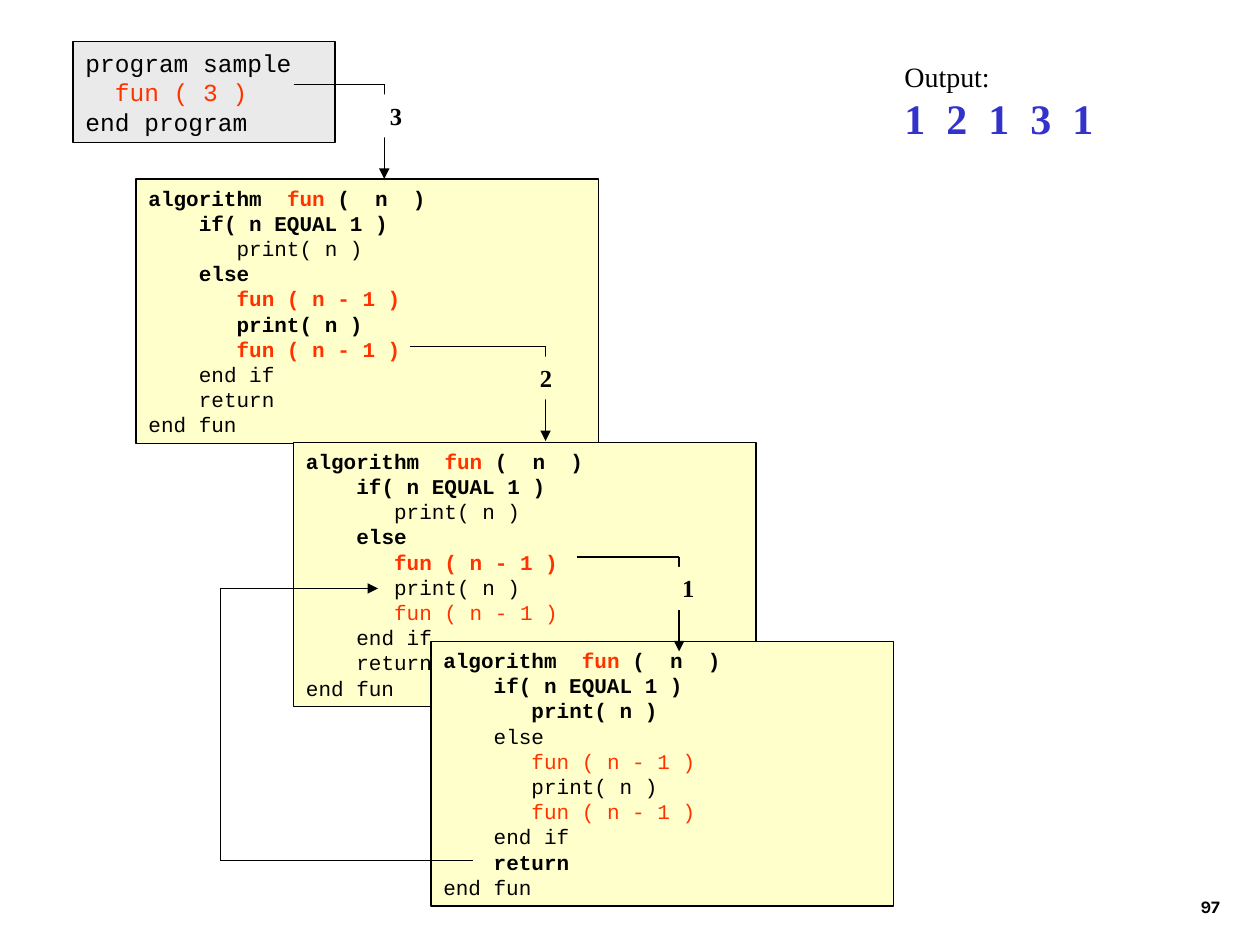
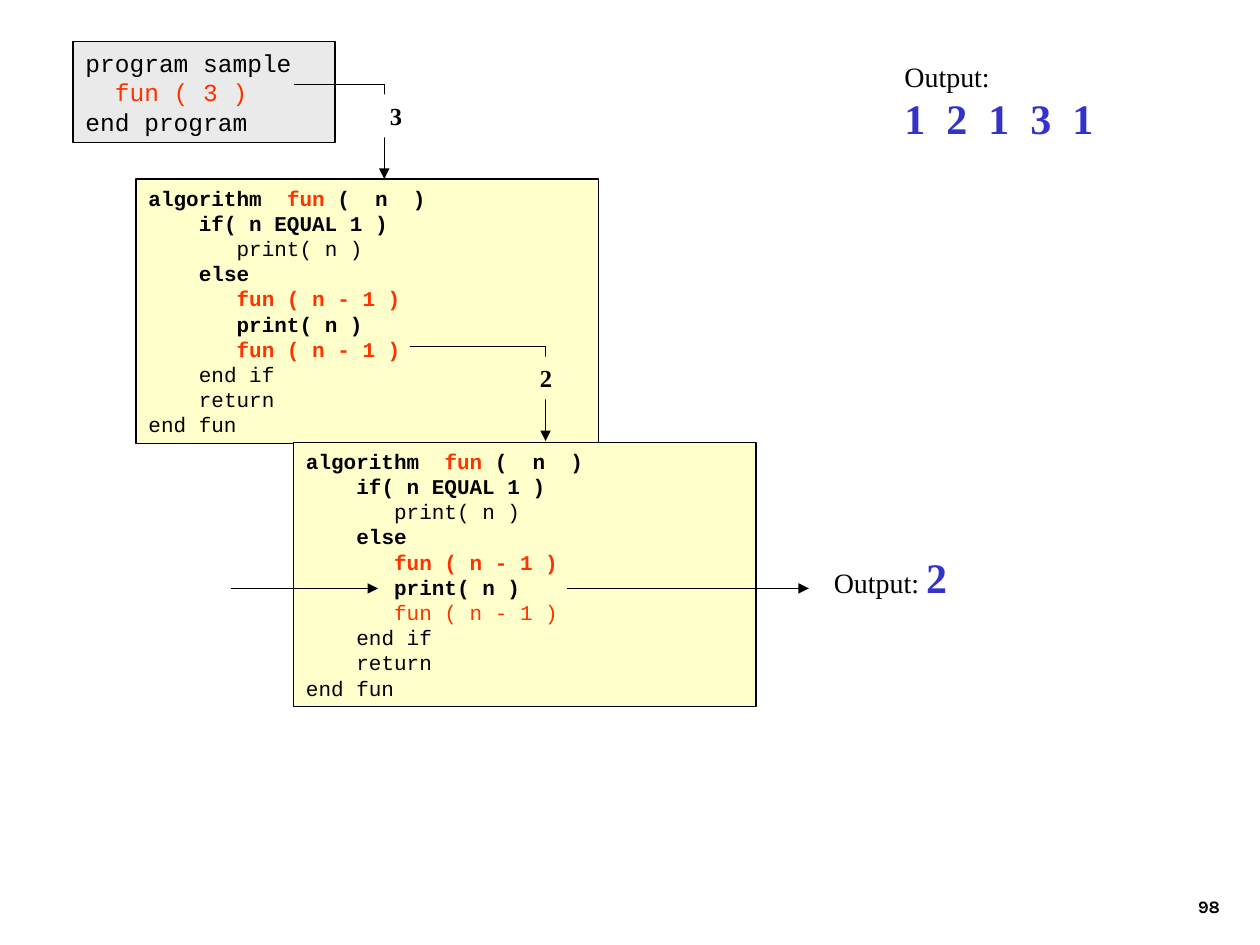
import pptx
import pptx.dml.color
import pptx.enum.shapes
import pptx.enum.text
import pptx.oxml
import pptx.oxml.ns
import pptx.util
from pptx.util import Inches

BLACK, RED, BLUE = "000000", "FF3300", "3333CC"
WHITE, CREAM, GREY = "FFFFFF", "FFFFCC", "EAEAEA"
CODE_FONT, TEXT_FONT, NUMBER_FONT = "Courier New", "Times New Roman", "Karla"
FIRST_NUMBER = 97

# Each line: indent in characters, then its coloured pieces.
PROGRAM = [
    (0, [("program sample", BLACK)]),
    (2, [("fun ( 3 )", RED)]),
    (0, [("end program", BLACK)]),
]
RECURSIVE_CALL = (7, [("fun ( n - 1 )", RED)])
PRINT = (7, [("print( n )", BLACK)])
ALGORITHM = [
    (0, [("algorithm  ", BLACK), ("fun ", RED), ("(  n  )", BLACK)]),
    (4, [("if( n EQUAL 1 )", BLACK)]),
    PRINT,
    (4, [("else", BLACK)]),
    RECURSIVE_CALL,
    PRINT,
    RECURSIVE_CALL,
    (4, [("end if", BLACK)]),
    (4, [("return", BLACK)]),
    (0, [("end fun", BLACK)]),
]


def rgb(value):
    return pptx.dml.color.RGBColor.from_string(value)


def set_font(font, name=None, size=None, color=None, bold=None):
    if name:
        font.name = name
    if size:
        font.size = pptx.util.Pt(size)
    if color:
        font.color.rgb = rgb(color)
    if bold is not None:
        font.bold = bold


class TraceDeck:
    """Draws the steps of a recursive call trace."""

    def __init__(self):
        self.deck = pptx.Presentation()
        self.deck.slide_width, self.deck.slide_height = Inches(10), Inches(7.5)
        self.deck.element.set("firstSlideNum", str(FIRST_NUMBER))
        self.slide = None

    def new_slide(self):
        self.slide = self.deck.slides.add_slide(self.deck.slide_layouts[6])
        self.slide_number(FIRST_NUMBER + len(self.deck.slides) - 1)

    def slide_number(self, number):
        frame = self.text_frame(7.7, 6.83, 2.08, 0.5)
        frame.vertical_anchor = pptx.enum.text.MSO_ANCHOR.BOTTOM
        paragraph = frame.paragraphs[0]
        paragraph.alignment = pptx.enum.text.PP_ALIGN.RIGHT
        set_font(paragraph.font, NUMBER_FONT, 10, BLACK, True)
        paragraph._p.append(pptx.oxml.parse_xml(
            f'<a:fld {pptx.oxml.ns.nsdecls("a")} type="slidenum"'
            ' id="{B6F15528-21DE-4FAA-801E-634DDDAF4B2B}">'
            f'<a:rPr lang="en-US"/><a:t>{number}</a:t></a:fld>'))

    def text_frame(self, left, top, width, height):
        frame = self.slide.shapes.add_textbox(
            Inches(left), Inches(top), Inches(width), Inches(height)).text_frame
        frame.word_wrap = True
        return frame

    def box(self, left, top, width, height, fill, outlined=True):
        """Add a filled rectangle and return its text frame."""
        shape = self.slide.shapes.add_shape(
            pptx.enum.shapes.MSO_SHAPE.RECTANGLE,
            Inches(left), Inches(top), Inches(width), Inches(height))
        shape.shadow.inherit = False
        shape.fill.solid()
        shape.fill.fore_color.rgb = rgb(fill)
        if outlined:
            shape.line.color.rgb = rgb(BLACK)
            shape.line.width = pptx.util.Pt(0.75)
        else:
            shape.line.fill.background()
        shape.text_frame.vertical_anchor = pptx.enum.text.MSO_ANCHOR.TOP
        shape.text_frame.word_wrap = True
        return shape.text_frame

    def code(self, frame, lines, size, bold_lines=()):
        character_width = 0.6 * size / 72
        for index, (indent, pieces) in enumerate(lines):
            paragraph = frame.paragraphs[0] if index == 0 else frame.add_paragraph()
            paragraph.alignment = pptx.enum.text.PP_ALIGN.LEFT
            properties = paragraph._p.get_or_add_pPr()
            properties.set("marL", str(Inches(indent * character_width)))
            properties.set("indent", "0")
            set_font(paragraph.font, CODE_FONT, size, bold=index in bold_lines)
            for text, color in pieces:
                run = paragraph.add_run()
                run.text = text
                set_font(run.font, color=color)

    def program(self):
        self.code(self.box(0.58, 0.33, 2.08, 0.8, GREY), PROGRAM, 14)

    def algorithm(self, left, top, executed):
        """Show one activation of the algorithm, its executed lines in bold."""
        self.code(self.box(left, top, 3.67, 2.1, CREAM), ALGORITHM, 12, executed)

    def line(self, start, end, arrow=False):
        connector = self.slide.shapes.add_connector(
            pptx.enum.shapes.MSO_CONNECTOR.STRAIGHT,
            *(Inches(value) for value in (*start, *end)))
        connector.line.color.rgb = rgb(BLACK)
        connector.line.width = pptx.util.Pt(0.75)
        if arrow:
            connector.line._get_or_add_ln().append(pptx.oxml.parse_xml(
                f'<a:tailEnd {pptx.oxml.ns.nsdecls("a")} type="triangle"/>'))
        connector._element.spPr.append(pptx.oxml.parse_xml(
            f'<a:effectLst {pptx.oxml.ns.nsdecls("a")}/>'))

    def route(self, *points):
        """Join the points with lines, the last one an arrow."""
        for index in range(1, len(points)):
            self.line(points[index - 1], points[index], index == len(points) - 1)

    def call(self, start, corner, argument, label_right, fill):
        """Draw a call arrow that carries its argument."""
        top = start[1]
        self.route(start, (corner, top), (corner, top + 0.75))
        frame = self.box(label_right - 0.44, top + 0.08, 0.44, 0.34, fill, False)
        paragraph = frame.paragraphs[0]
        paragraph.text = argument
        paragraph.alignment = pptx.enum.text.PP_ALIGN.RIGHT
        set_font(paragraph.font, TEXT_FONT, 14, BLACK, True)

    def output_so_far(self, values):
        frame = self.text_frame(7.08, 0.42, 2.42, 0.77)
        heading, printed = frame.paragraphs[0], frame.add_paragraph()
        heading.text, printed.text = "Output:", values
        set_font(heading.font, TEXT_FONT, 16, BLACK)
        set_font(printed.font, TEXT_FONT, 24, BLUE, True)

    def printed_value(self, value):
        frame = self.text_frame(6.52, 4.33, 1.1, 0.5)
        frame.word_wrap = False
        paragraph = frame.paragraphs[0]
        set_font(paragraph.font, TEXT_FONT)
        for text, size, color, bold in (("Output: ", 16, BLACK, False),
                                        (value, 24, BLUE, True)):
            run = paragraph.add_run()
            run.text = text
            set_font(run.font, size=size, color=color, bold=bold)

    def outer_calls(self):
        self.program()
        self.output_so_far("1  2  1  3  1")
        self.call((2.33, 0.67), 3.05, "3", 3.29, WHITE)
        self.call((3.25, 2.75), 4.33, "2", 4.48, CREAM)


def main():
    trace = TraceDeck()
    first_call = (1.08, 1.42, {0, 1, 3, 4, 5, 6})
    second_call = (2.33, 3.51, {0, 1, 3, 4})
    third_call = (3.42, 5.09, {0, 1, 2, 8})

    trace.new_slide()
    for activation in (first_call, second_call, third_call):
        trace.algorithm(*activation)
    trace.route((3.75, 6.83), (1.75, 6.83), (1.75, 4.67), (3, 4.67))
    trace.outer_calls()
    trace.call((4.58, 4.42), 5.39, "1", 5.61, CREAM)

    trace.new_slide()
    left, top, executed = second_call
    trace.algorithm(*first_call)
    trace.algorithm(left, top, executed | {5})
    trace.route((1.83, 4.67), (3, 4.67))
    trace.route((4.5, 4.67), (6.42, 4.67))
    trace.printed_value("2")
    trace.outer_calls()

    trace.deck.save("out.pptx")


if __name__ == "__main__":
    main()
